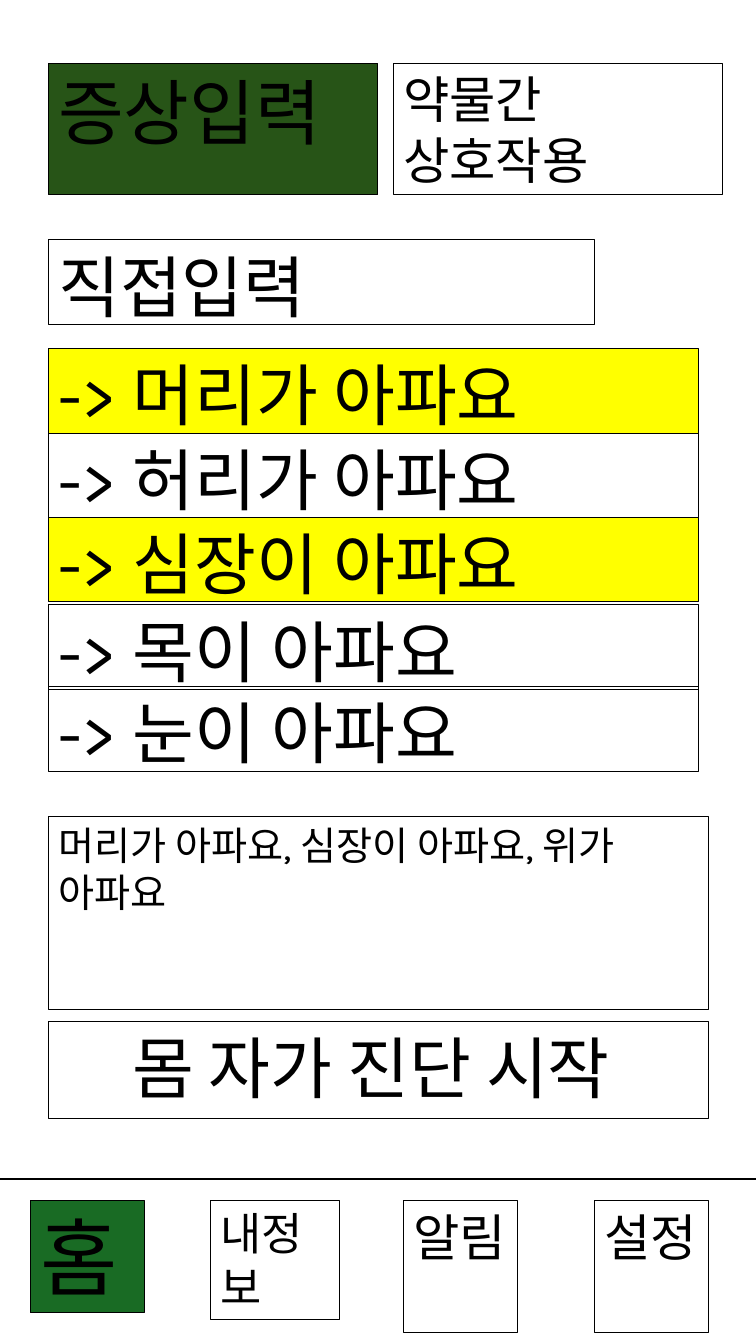
from pptx import Presentation
from pptx.dml.color import RGBColor
from pptx.enum.shapes import MSO_CONNECTOR, MSO_SHAPE
from pptx.enum.text import MSO_ANCHOR, MSO_AUTO_SIZE as AUTO, PP_ALIGN
from pptx.oxml.ns import qn
from pptx.util import Inches, Pt
from lxml import etree


def rgb(value):
    return RGBColor.from_string(value)


class Screen:
    """Draws the outlined boxes and rules of a phone screen."""

    font, ink = "Karla", "000000"

    def __init__(self, slide):
        self.s = slide

    def box(self, x, y, w, h, text, size, fill=None, align=PP_ALIGN.LEFT, grow=False):
        sp = self.s.shapes.add_shape(
            MSO_SHAPE.RECTANGLE, Inches(x), Inches(y), Inches(w), Inches(h))
        sp.shadow.inherit = False
        if fill:
            sp.fill.solid()
            sp.fill.fore_color.rgb = rgb(fill)
        else:
            sp.fill.background()
        sp.line.color.rgb = rgb(self.ink)
        sp.line.width = Pt(0.75)
        tf = sp.text_frame
        tf.word_wrap = True
        tf.vertical_anchor = MSO_ANCHOR.TOP
        tf.auto_size = AUTO.SHAPE_TO_FIT_TEXT if grow else AUTO.NONE
        p = tf.paragraphs[0]
        p.alignment = align
        r = p.add_run()
        r.text = text
        r.font.name = self.font
        r.font.size = Pt(size)
        r.font.color.rgb = rgb(self.ink)

    def rule(self, y, width):
        line = self.s.shapes.add_connector(
            MSO_CONNECTOR.STRAIGHT, 0, Inches(y), Inches(width), Inches(y))
        line.line.color.rgb = rgb(self.ink)
        line.line.width = Pt(1.5)
        etree.SubElement(line._element.spPr, qn("a:effectLst"))


def main():
    prs = Presentation()
    prs.slide_width, prs.slide_height = Inches(7.5), Inches(13.33)
    screen = Screen(prs.slides.add_slide(prs.slide_layouts[6]))
    left, yellow = 0.48, "FFFF00"

    screen.rule(11.69, 7.5)
    nav_items = [
        (0.3, 1.13, 1.11, "홈", 60, "196B24"),
        (2.09, 1.28, 1.18, "내정보", 32, None),
        (4, 1.13, 1.31, "알림", 36, None),
        (5.9, 1.13, 1.31, "설정", 36, None),
    ]
    for x, w, h, text, size, fill in nav_items:
        screen.box(x, 11.91, w, h, text, size, fill, grow=True)

    screen.box(left, 0.63, 3.27, 1.3, "증상입력", 51, "275417")
    screen.box(3.9, 0.63, 3.27, 1.3, "약물간 상호작용", 36)
    screen.box(left, 2.38, 5.42, 0.84, "직접입력", 48)

    symptoms = [
        (3.46, "머리가", yellow),
        (4.3, "허리가", None),
        (5.13, "심장이", yellow),
        (6, "목이", None),
        (6.81, "눈이", None),
    ]
    for y, part, fill in symptoms:
        screen.box(left, y, 6.45, 0.84, f"-> {part} 아파요", 48, fill)

    screen.box(left, 8.1, 6.55, 1.91, "머리가 아파요, 심장이 아파요, 위가 아파요", 28)
    screen.box(left, 10.13, 6.55, 0.96, "몸 자가 진단 시작 ", 48, align=PP_ALIGN.CENTER)
    prs.save("out.pptx")


if __name__ == "__main__":
    main()
